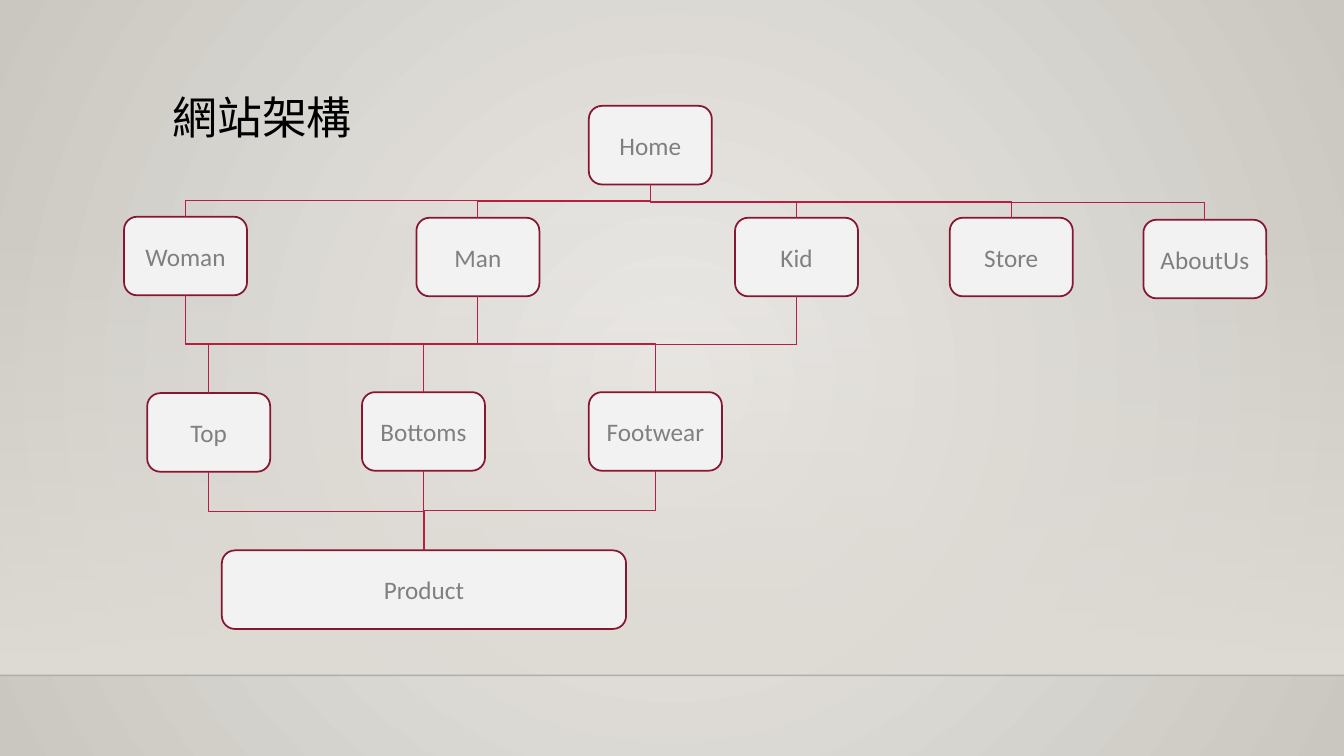
from itertools import product
from lxml.etree import SubElement
from pptx import Presentation
from pptx.dml.color import RGBColor as RGB
from pptx.enum.shapes import MSO_CONNECTOR as LINK, MSO_SHAPE as SHAPE
from pptx.enum.text import MSO_ANCHOR as ANCHOR, PP_ALIGN as ALIGN
from pptx.oxml import parse_xml
from pptx.oxml.ns import nsdecls, qn
from pptx.util import Inches, Pt

HUES = {"glow": "ECEAE7", "edge": "CAC7C1", "floor": "DFDBD5", "rule": "000001",
        "title": "000000", "box": "F2F2F2", "rim": "871631", "text": "808080",
        "link": "B71E42"}
TOP = {"Woman": (1.23, 2.15), "Man": (4.13, 2.16), "Kid": (7.29, 2.16),
       "Store": (9.42, 2.16), "AboutUs": (11.34, 2.18)}
KINDS = {"Top": (1.46, 3.9), "Bottoms": (3.59, 3.89), "Footwear": (5.84, 3.89, 1.32)}


class Chart:
    """Draws a site map on one slide in a single style."""

    def __init__(self, deck):
        self.font = "Calibri"
        self.slide = deck.slides.add_slide(deck.slide_layouts[5])
        self.shapes = self.slide.shapes
        self.nodes = {}

    def put(self, item, values):
        for name, value in values.items():
            setattr(item, name, value)

    def hue(self, name):
        return RGB.from_string(HUES[name])

    def fade(self, color, share):
        SubElement(color, qn("a:alpha")).set("val", str(share * 1000))

    def blend(self, fill, names):
        fill.gradient()
        for stop, name in zip(fill.gradient_stops, names):
            stop.color.rgb = self.hue(name)

    def stroke(self, line, name, width):
        line.color.rgb = self.hue(name)
        line.width = Pt(width)

    def label(self, frame, text, size, name, align, anchor):
        self.put(frame, {"text": text, "word_wrap": True, "vertical_anchor": anchor})
        para = frame.paragraphs[0]
        para.alignment = align
        self.put(para.runs[0].font, {"size": Pt(size), "name": self.font})
        para.runs[0].font.color.rgb = self.hue(name)
        return para

    def back(self):
        self.blend(self.slide.background.fill, ("glow", "edge"))
        grad = next(self.slide.element.iter(qn("a:gradFill")))
        ring = parse_xml(
            f'<a:path {nsdecls("a")} path="circle">'
            '<a:fillToRect l="50000" t="50000" r="50000" b="50000"/></a:path>')
        grad.replace(grad.find(qn("a:lin")), ring)

    def floor(self, top, high, wide):
        rect = self.shapes.add_shape(
            SHAPE.RECTANGLE, 0, Inches(top), Inches(wide), Inches(high))
        rect.shadow.inherit = False
        rect.line.fill.background()
        self.blend(rect.fill, ("floor", "floor"))
        rect.fill.gradient_angle = 270
        self.fade(next(rect.element.iter(qn("a:srgbClr"))), 0)
        low = Inches(top + high)
        rule = self.shapes.add_connector(LINK.STRAIGHT, 0, low, Inches(wide), low)
        self.stroke(rule.line, "rule", 1)
        self.fade(next(rule.element.iter(qn("a:srgbClr"))), 20)
        SubElement(rule.element.spPr, qn("a:effectLst"))

    def title(self, text, left, top, wide, high):
        head = self.shapes.title
        self.put(head, {"left": Inches(left), "top": Inches(top),
                        "width": Inches(wide), "height": Inches(high)})
        para = self.label(head.text_frame, text, 32, "title", ALIGN.LEFT, ANCHOR.TOP)
        para.line_spacing = 0.9

    def node(self, text, left, top, wide=1.22, high=0.78):
        box = self.shapes.add_shape(SHAPE.ROUNDED_RECTANGLE, *map(
            Inches, (left, top, wide, high)))
        box.shadow.inherit = False
        box.fill.solid()
        box.fill.fore_color.rgb = self.hue("box")
        self.stroke(box.line, "rim", 1.25)
        self.label(box.text_frame, text, 18, "text", ALIGN.CENTER, ANCHOR.MIDDLE)
        self.nodes[text] = box

    def link(self, start, end):
        bend = self.shapes.add_connector(LINK.ELBOW, 0, 0, 0, 0)
        bend.begin_connect(self.nodes[start], 2)
        bend.end_connect(self.nodes[end], 0)
        run, drop = bend.end_x - bend.begin_x, bend.end_y - bend.begin_y
        mid, half = bend.begin_x + run // 2, bend.begin_y + drop // 2
        self.put(bend, {"left": mid - drop // 2, "top": half - abs(run) // 2,
                        "width": drop, "height": abs(run)})
        form = bend.element.spPr.find(qn("a:xfrm"))
        right = run > 0
        form.set("rot", str((270 if right else 90) * 60000))
        form.set("flipH", str(int(right)))
        self.stroke(bend.line, "link", 0.75)
        SubElement(bend.element.spPr, qn("a:effectLst"))


def main():
    deck = Presentation()
    deck.slide_width, deck.slide_height = Inches(13.33), Inches(7.5)
    chart = Chart(deck)
    chart.back()
    chart.floor(2.21, 4.49, 13.33)
    chart.title("網站架構", 1.61, 0.9, 10.5, 1.15)
    chart.node("Home", 5.84, 1.05)
    for name, spot in (TOP | KINDS).items():
        chart.node(name, *spot)
    chart.node("Product", 2.2, 5.46, 4.01)
    for start, ends in ((["Home"], TOP), (["Woman", "Man", "Kid"], KINDS),
                        (KINDS, ["Product"])):
        for pair in product(start, ends):
            chart.link(*pair)
    deck.save("out.pptx")


if __name__ == "__main__":
    main()
